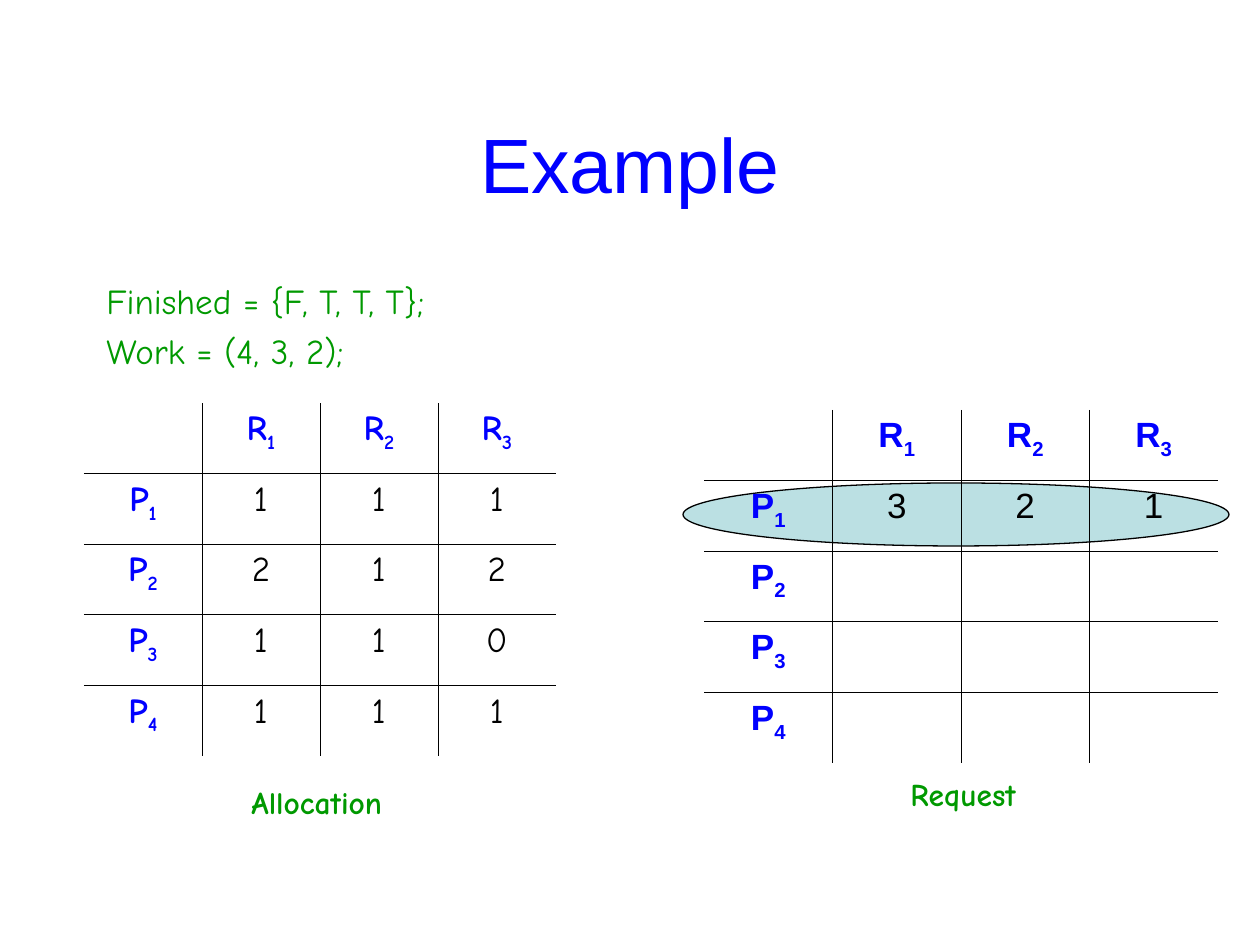
"""Build the slide with the allocation and request tables of an example."""
from lxml.etree import SubElement
from pptx import Presentation
from pptx.dml.color import RGBColor
from pptx.enum.shapes import MSO_SHAPE as Shape
from pptx.enum.text import MSO_ANCHOR as Anchor, MSO_AUTO_SIZE as Fit, PP_ALIGN as Align
from pptx.oxml.ns import qn
from pptx.util import Emu, Pt

BLUE, GREEN, BLACK, TEAL = "0000FF", "009900", "000000", "BBE0E3"
SANS, COMIC = "Arial", "Comic Neue"
TITLE = "Example"
STATE = ["Finished = {F, T, T, T};", "Work = (4, 3, 2);"]
HEADS = ["R1", "R2", "R3"]
NAMES = ["P1", "P2", "P3", "P4"]
TABLES = [
    {"box": (84, 403, 472, 353), "font": COMIC,
     "rows": [["1", "1", "1"], ["2", "1", "2"], ["1", "1", "0"], ["1", "1", "1"]]},
    {"box": (704, 410, 514, 353), "font": SANS,
     "rows": [["3", "2", "1"]] + [["", "", ""]] * 3},
]
LABELS = [("Allocation", (239, 777, 156, 50)), ("Request", (898, 769, 136, 50))]
OVAL = (683, 483, 546, 63)


def px(n):
    return Emu(round(n * 914400 / 126))


def area(box):
    return [px(n) for n in box]


def color(code):
    return RGBColor.from_string(code)


def style(font, name, size, code, bold=False):
    font.name, font.size, font.bold = name, Pt(size), bold
    font.color.rgb = color(code)


def write(slide, box, lines, size, bold=False, wrap=False):
    frame = slide.shapes.add_textbox(*area(box)).text_frame
    frame.word_wrap = wrap
    frame.auto_size = Fit.NONE if wrap else Fit.SHAPE_TO_FIT_TEXT
    frame.text = "\n".join(lines)
    for i, para in enumerate(frame.paragraphs):
        para.space_before = Pt(5 if i else 0)
        style(para.runs[0].font, COMIC, size, GREEN, bold)


def edge(cell, side, shown):
    line = SubElement(cell._tc.get_or_add_tcPr(), qn(f"a:ln{side}"), w="5715")
    if shown:
        fill = SubElement(line, qn("a:solidFill"))
        SubElement(fill, qn("a:srgbClr"), val=BLACK)
    else:
        SubElement(line, qn("a:noFill"))


def fill_cell(cell, text, name, head):
    cell.margin_left = cell.margin_right = Pt(7.2)
    cell.margin_top = cell.margin_bottom = Pt(3.6)
    para = cell.text_frame.paragraphs[0]
    para.alignment = Align.CENTER
    for i, part in enumerate(text):
        run = para.add_run()
        run.text = part
        style(run.font, name, 20, BLUE if head else BLACK, head)
        if i:
            run._r.get_or_add_rPr().set("baseline", "-25000")


def add_grid(slide, box, font, rows):
    data = [[""] + HEADS] + [[n] + row for n, row in zip(NAMES, rows)]
    high, wide = len(data), len(data[0])
    table = slide.shapes.add_table(high, wide, *area(box)).table
    table.first_row = table.horz_banding = False
    for col in table.columns:
        col.width = px(box[2] / wide)
    for row in table.rows:
        row.height = px(box[3] / high)
    for r, row in enumerate(data):
        for c, text in enumerate(row):
            cell = table.cell(r, c)
            fill_cell(cell, text, font, r == 0 or c == 0)
            inner = {"L": c > 0, "R": c < wide - 1, "T": r > 0, "B": r < high - 1}
            for side, shown in inner.items():
                edge(cell, side, shown)
            cell.fill.background()


def main():
    deck = Presentation()
    deck.slide_width, deck.slide_height = px(1260), px(945)
    slide = deck.slides.add_slide(deck.slide_layouts[5])
    title = slide.shapes.title
    title.left, title.top, title.width, title.height = area((94, 84, 1072, 158))
    title.text_frame.text = TITLE
    title.text_frame.vertical_anchor = Anchor.MIDDLE
    para = title.text_frame.paragraphs[0]
    para.alignment = Align.CENTER
    style(para.runs[0].font, SANS, 44, BLUE)

    oval = slide.shapes.add_shape(Shape.OVAL, *area(OVAL))
    oval.shadow.inherit = False
    oval.fill.solid()
    oval.fill.fore_color.rgb = color(TEAL)
    oval.line.color.rgb = color(BLACK)
    oval.line.width = Pt(0.75)

    write(slide, (94, 273, 1072, 120), STATE, 20, wrap=True)
    for grid in TABLES:
        add_grid(slide, **grid)
    for text, box in LABELS:
        write(slide, box, [text], 18, bold=True)
    deck.save("out.pptx")


if __name__ == "__main__":
    main()
